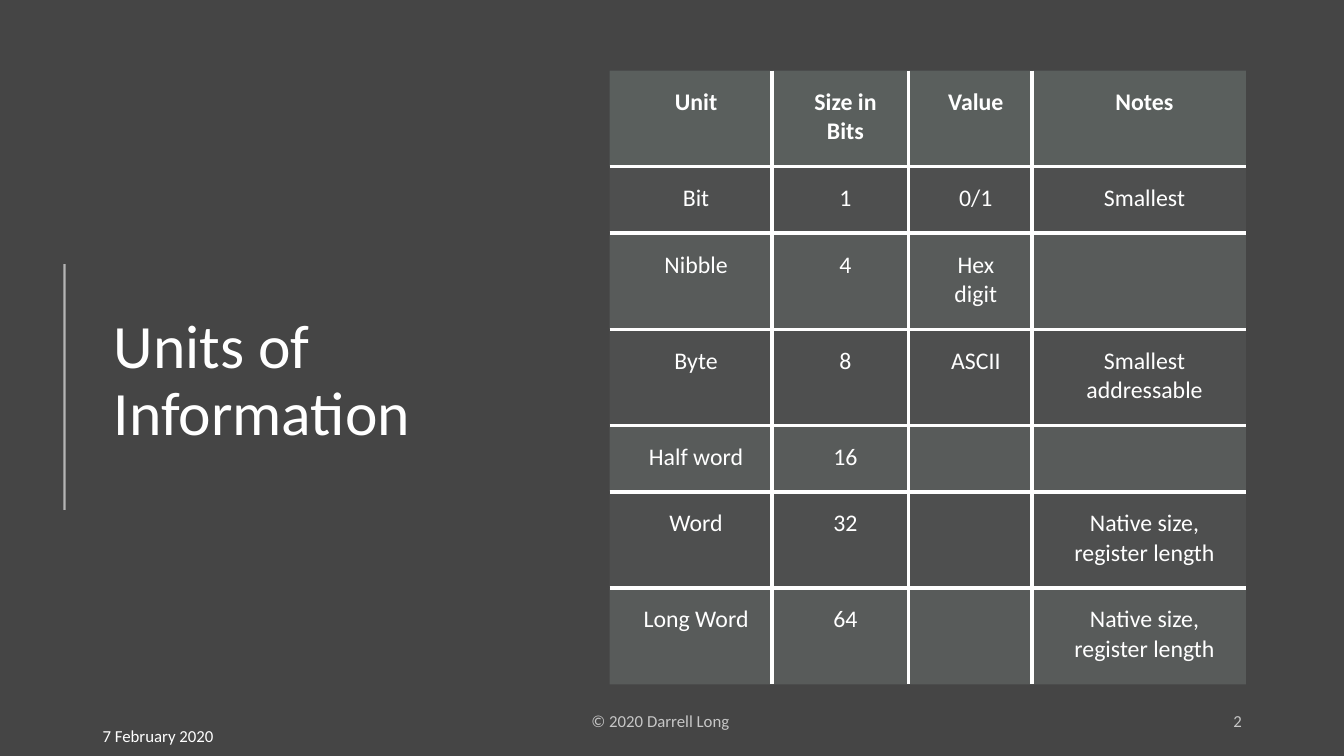
from lxml import etree
from pptx import Presentation
from pptx.dml.color import RGBColor
from pptx.enum import shapes, text
from pptx.oxml import ns
from pptx.util import Pt

BACKGROUND = RGBColor(0x45, 0x45, 0x45)
WHITE = RGBColor(0xFF, 0xFF, 0xFF)
HEADER_FILL = RGBColor(0x63, 0x6B, 0x68)
BODY_FILL = RGBColor(0x87, 0x8E, 0x8B)
NO_STYLE_NO_GRID = "{2D5ABB26-0587-4C30-8999-92F81FD0307C}"

UNITS = [
    ("Unit", "Size in Bits", "Value", "Notes"),
    ("Bit", "1", "0/1", "Smallest"),
    ("Nibble", "4", "Hex digit", ""),
    ("Byte", "8", "ASCII", "Smallest addressable"),
    ("Half word", "16", "", ""),
    ("Word", "32", "", "Native size, register length"),
    ("Long Word", "64", "", "Native size, register length"),
]
COLUMN_WIDTHS = (115.8, 97.7, 88.5, 152.5)
TALL, SHORT = 68.6, 47.7
ROW_HEIGHTS = (TALL, SHORT, TALL, TALL, SHORT, TALL, TALL)


def set_alpha(parent, percent):
    """Set the opacity of the first RGB colour below an XML element."""
    color = next(parent.iter(ns.qn("a:srgbClr")))
    etree.SubElement(color, ns.qn("a:alpha")).set("val", str(percent * 1000))


def write(frame, words, size=12, bold=False, align=text.PP_ALIGN.LEFT,
          opacity=100, spacing=1.0, after=0):
    frame.word_wrap = True
    paragraph = frame.paragraphs[0]
    paragraph.alignment = align
    paragraph.line_spacing = spacing
    paragraph.space_after = Pt(after)
    run = paragraph.add_run()
    run.text = words
    run.font.name = "Calibri"
    run.font.size = Pt(size)
    run.font.bold = bold
    run.font.color.rgb = WHITE
    if opacity < 100:
        set_alpha(run.font._element, opacity)


class SlideBuilder:
    def __init__(self, presentation):
        self.slide = presentation.slides.add_slide(presentation.slide_layouts[6])
        self.slide.background.fill.solid()
        self.slide.background.fill.fore_color.rgb = BACKGROUND
        self.border_width = 3

    def text_box(self, words, left, top, width, height, **style):
        box = self.slide.shapes.add_textbox(Pt(left), Pt(top), Pt(width), Pt(height))
        box.text_frame.vertical_anchor = text.MSO_ANCHOR.MIDDLE
        write(box.text_frame, words, **style)

    def vertical_rule(self, x, top, bottom):
        rule = self.slide.shapes.add_connector(
            shapes.MSO_CONNECTOR.STRAIGHT, Pt(x), Pt(top), Pt(x), Pt(bottom))
        rule.line.color.rgb = WHITE
        rule.line.width = Pt(1.5)
        properties = rule._element.spPr
        set_alpha(properties, 60)
        etree.SubElement(properties, ns.qn("a:effectLst"))

    def border(self, cell, sides):
        """Draw white lines on the given sides, in the order L, R, T, B."""
        properties = cell._tc.get_or_add_tcPr()
        for position, side in enumerate(sides):
            line = etree.Element(ns.qn(f"a:ln{side}"), w=str(Pt(self.border_width)))
            fill = etree.SubElement(line, ns.qn("a:solidFill"))
            etree.SubElement(fill, ns.qn("a:srgbClr"), val=str(WHITE))
            properties.insert(position, line)

    def cell(self, cell, words, fill, opacity, bold):
        cell.margin_left = Pt(20)
        cell.margin_right = cell.margin_top = cell.margin_bottom = Pt(12.2)
        cell.fill.solid()
        cell.fill.fore_color.rgb = fill
        set_alpha(cell._tc.tcPr, opacity)
        if words:
            write(cell.text_frame, words, size=17, bold=bold,
                  align=text.PP_ALIGN.CENTER)

    def table(self, rows, left, top, widths, heights):
        """Add a table with inner borders only."""
        table = self.slide.shapes.add_table(
            len(rows), len(widths), Pt(left), Pt(top),
            Pt(sum(widths)), Pt(sum(heights))).table
        table._tbl.tblPr.find(ns.qn("a:tableStyleId")).text = NO_STYLE_NO_GRID
        table.horz_banding = False
        for column, width in zip(table.columns, widths):
            column.width = Pt(width)
        last_row, last_column = len(rows) - 1, len(widths) - 1
        for r, values in enumerate(rows):
            table.rows[r].height = Pt(heights[r])
            header = r == 0
            fill = HEADER_FILL if header else BODY_FILL
            opacity = 70 if header else 15 if r % 2 else 30
            for c, words in enumerate(values):
                cell = table.cell(r, c)
                self.cell(cell, words, fill, opacity, header)
                inner = {"L": c > 0, "R": c < last_column,
                         "T": r > 0, "B": r < last_row}
                self.border(cell, [side for side in inner if inner[side]])


def main():
    presentation = Presentation()
    presentation.slide_width, presentation.slide_height = Pt(960), Pt(540)
    builder = SlideBuilder(presentation)
    builder.text_box("Units of Information", 74.2, 56.2, 265.7, 433.4,
                     size=44, spacing=0.9)
    builder.vertical_rule(46.1, 188.6, 364.3)
    builder.text_box("© 2020 Darrell Long", 415.4, 500.4, 226, 28.8,
                     opacity=70, after=6)
    builder.text_box("2", 678.2, 500.4, 216, 28.8, opacity=70, after=6,
                     align=text.PP_ALIGN.RIGHT)
    builder.table(UNITS, 435.4, 50.4, COLUMN_WIDTHS, ROW_HEIGHTS)
    builder.text_box("7 February 2020", 66.2, 511.2, 105, 28.8)
    presentation.save("out.pptx")


if __name__ == "__main__":
    main()
